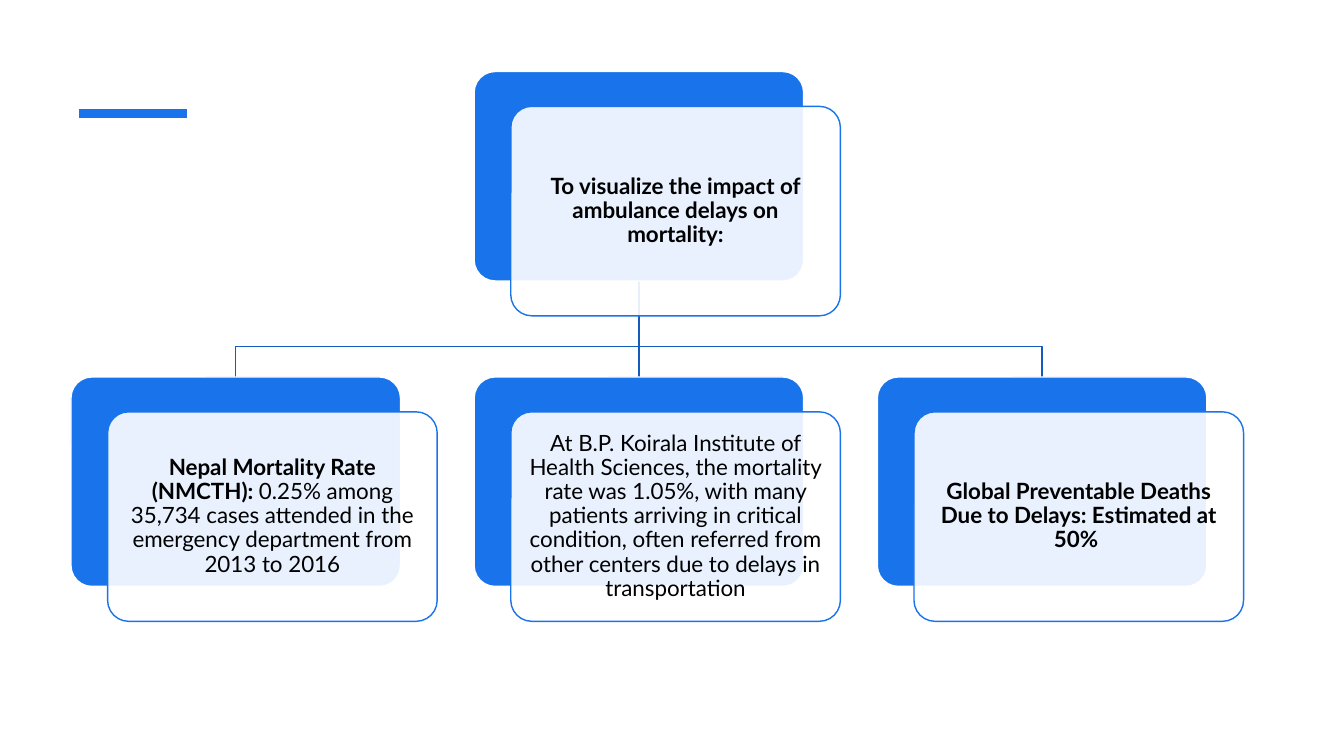
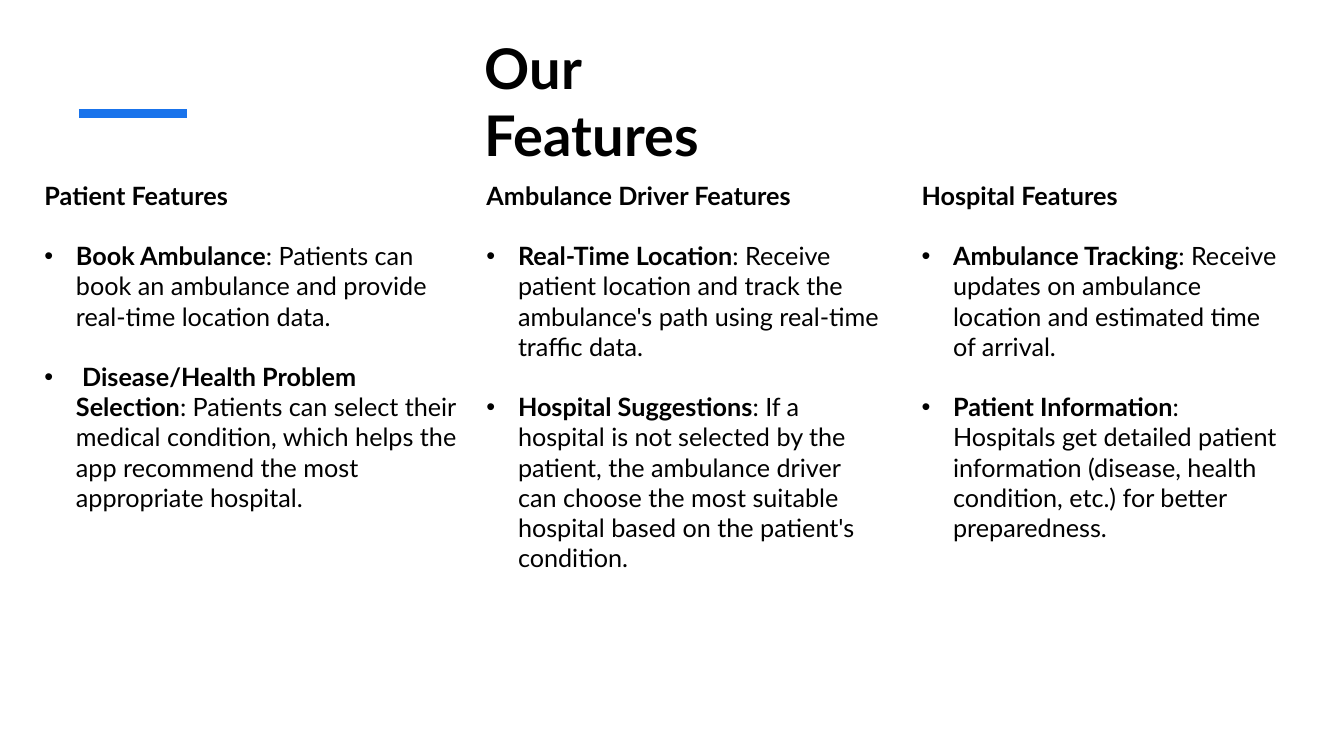
from typing import NamedTuple

from lxml import etree
from pptx import Presentation
from pptx.dml.color import RGBColor
from pptx.enum.shapes import MSO_CONNECTOR, MSO_SHAPE
from pptx.enum.text import MSO_ANCHOR, MSO_AUTO_SIZE, PP_ALIGN
from pptx.oxml.ns import qn
from pptx.util import Pt

RECT, ROUND = MSO_SHAPE.RECTANGLE, MSO_SHAPE.ROUNDED_RECTANGLE
LINE = MSO_CONNECTOR.STRAIGHT
TOP, MIDDLE = MSO_ANCHOR.TOP, MSO_ANCHOR.MIDDLE
LEFT, CENTER = PP_ALIGN.LEFT, PP_ALIGN.CENTER

HUES = {"blue": "1973EB", "link": "145CBC", "white": "FFFFFF", "text": "000000"}
FACE = "Lato"
WIDE, HIGH = 960, 540

# Chart of cards: one root above a row of three
CARD_W, CARD_H = 235.4, 149.6
FIRST_X, STEP = 50.7, 288
ROOT_Y, ROW_Y = 51.1, 269.3
SHIFT_X, SHIFT_Y = 26.2, 24.9
BEND_Y = 247.7

# Feature columns
COL_Y = 125.3
INDENT, GAP = 22.5, 21.4


class Card(NamedTuple):
    col: int
    top: float
    bold: str
    plain: str = ""


class Point(NamedTuple):
    bold: str
    plain: str


class Column(NamedTuple):
    left: float
    width: float
    height: float
    head: str
    points: list[Point]


CARDS = [
    Card(1, ROOT_Y, "To visualize the impact of ambulance delays on mortality:"),
    Card(0, ROW_Y, "Nepal Mortality Rate (NMCTH): ",
         "0.25% among 35,734 cases attended in the emergency department "
         "from 2013 to 2016"),
    Card(1, ROW_Y, "",
         "At B.P. Koirala Institute of Health Sciences, the mortality rate "
         "was 1.05%, with many patients arriving in critical condition, often "
         "referred from other centers due to delays in transportation"),
    Card(2, ROW_Y, "Global Preventable Deaths Due to Delays: Estimated at 50% "),
]

COLUMNS = [
    Column(24.7, 313.2, 247, "Patient Features", [
        Point("Book Ambulance",
              ": Patients can book an ambulance and provide real-time "
              "location data."),
        Point(" Disease/Health Problem Selection",
              ": Patients can select their medical condition, which helps the "
              "app recommend the most appropriate hospital."),
    ]),
    Column(340.4, 295.9, 312.5, "Ambulance Driver Features", [
        Point("Real-Time Location",
              ": Receive patient location and track the ambulance's path using "
              "real-time traffic data."),
        Point("Hospital Suggestions",
              ": If a hospital is not selected by the patient, the ambulance "
              "driver can choose the most suitable hospital based on the "
              "patient's condition."),
    ]),
    Column(651.2, 268.6, 290.9, "Hospital Features", [
        Point("Ambulance Tracking",
              ": Receive updates on ambulance location and estimated time of "
              "arrival."),
        Point("Patient Information",
              ": Hospitals get detailed patient information (disease, health "
              "condition, etc.) for better preparedness."),
    ]),
]


def hue(name: str) -> RGBColor:
    return RGBColor.from_string(HUES[name])


def style(para, size: float) -> None:
    font = para.font
    font.name, font.size = FACE, Pt(size)
    font.color.rgb = hue("text")


def write(para, bold: str, plain: str = "") -> None:
    for text, heavy in ((bold, True), (plain, False)):
        if text:
            run = para.add_run()
            run.text, run.font.bold = text, heavy


def draw_shape(slide, kind, x: float, y: float, w: float, h: float, fill: str):
    shape = slide.shapes.add_shape(kind, Pt(x), Pt(y), Pt(w), Pt(h))
    shape.shadow.inherit = False
    shape.fill.solid()
    shape.fill.fore_color.rgb = hue(fill)
    shape.line.fill.background()
    return shape


def draw_line(slide, x1: float, y1: float, x2: float, y2: float,
              name: str, width: float) -> None:
    line = slide.shapes.add_connector(LINE, Pt(x1), Pt(y1), Pt(x2), Pt(y2))
    line.line.color.rgb, line.line.width = hue(name), Pt(width)
    etree.SubElement(line._element.spPr, qn("a:effectLst"))


def add_slide(deck, layout: int):
    slide = deck.slides.add_slide(deck.slide_layouts[layout])
    base = draw_shape(slide, RECT, 0, 0, WIDE, HIGH, "white")
    # Keep the base behind the title
    slide.shapes._spTree.insert(2, base._element)
    draw_line(slide, 56.4, 81.2, 133.4, 81.2, "blue", 6)
    return slide


# Cards and the links between them
def draw_link(slide, col: int) -> None:
    start, end = (FIRST_X + n * STEP + CARD_W / 2 for n in (1, col))
    top = ROOT_Y + CARD_H
    if start == end:
        draw_line(slide, start, top, end, ROW_Y, "link", 1)
        return
    path = slide.shapes.build_freeform(Pt(start), Pt(top))
    spots = [(start, BEND_Y), (end, BEND_Y), (end, ROW_Y)]
    path.add_line_segments([(Pt(x), Pt(y)) for x, y in spots], close=False)
    link = path.convert_to_shape()
    link.shadow.inherit = False
    link.fill.background()
    link.line.color.rgb, link.line.width = hue("link"), Pt(1)


def draw_panel(slide, x: float, y: float, fill: str, edge: str):
    panel = draw_shape(slide, ROUND, x, y, CARD_W, CARD_H, fill)
    panel.adjustments[0] = 0.1
    panel.line.color.rgb, panel.line.width = hue(edge), Pt(1)
    return panel


def draw_card(slide, card: Card) -> None:
    x = FIRST_X + card.col * STEP
    draw_panel(slide, x, card.top, "blue", "white")
    front = draw_panel(slide, x + SHIFT_X, card.top + SHIFT_Y, "white", "blue")
    tint = front._element.spPr.find(qn("a:solidFill")).find(qn("a:srgbClr"))
    etree.SubElement(tint, qn("a:alpha"), val="90000")
    frame = front.text_frame
    frame.word_wrap, frame.vertical_anchor = True, MIDDLE
    frame.margin_left = frame.margin_right = Pt(5)
    frame.margin_top = frame.margin_bottom = Pt(5)
    para = frame.paragraphs[0]
    para.alignment, para.line_spacing = CENTER, 0.9
    style(para, 16)
    write(para, card.bold, card.plain)


# Title and feature columns
def set_title(slide, text: str) -> None:
    title = slide.shapes.title
    title.left, title.top = Pt(339.1), Pt(20.2)
    title.width, title.height = Pt(243.4), Pt(51)
    frame = title.text_frame
    frame.text = text
    frame.word_wrap, frame.vertical_anchor = True, TOP
    frame.auto_size = MSO_AUTO_SIZE.NONE
    para = frame.paragraphs[0]
    para.alignment = LEFT
    style(para, 40)
    para.font.bold = True


def add_bullet(para) -> None:
    props = para._p.get_or_add_pPr()
    props.set("marL", str(Pt(INDENT)))
    props.set("indent", str(-Pt(INDENT)))
    etree.SubElement(props, qn("a:buFont"), typeface="Arial")
    etree.SubElement(props, qn("a:buChar"), char="•")


def draw_column(slide, col: Column) -> None:
    box = slide.shapes.add_textbox(
        Pt(col.left), Pt(COL_Y), Pt(col.width), Pt(col.height))
    frame = box.text_frame
    frame.word_wrap = True
    head = frame.paragraphs[0]
    style(head, 18)
    write(head, col.head)
    for point in col.points:
        para = frame.add_paragraph()
        add_bullet(para)
        para.space_before = Pt(GAP)
        style(para, 18)
        write(para, point.bold, point.plain)


def main() -> None:
    deck = Presentation()
    deck.slide_width, deck.slide_height = Pt(WIDE), Pt(HIGH)

    # Impact of delays
    slide = add_slide(deck, 6)
    for col in (2, 1, 0):
        draw_link(slide, col)
    for card in CARDS:
        draw_card(slide, card)

    # Features
    slide = add_slide(deck, 5)
    set_title(slide, "Our\vFeatures")
    for col in COLUMNS:
        draw_column(slide, col)

    deck.save("out.pptx")


if __name__ == "__main__":
    main()
